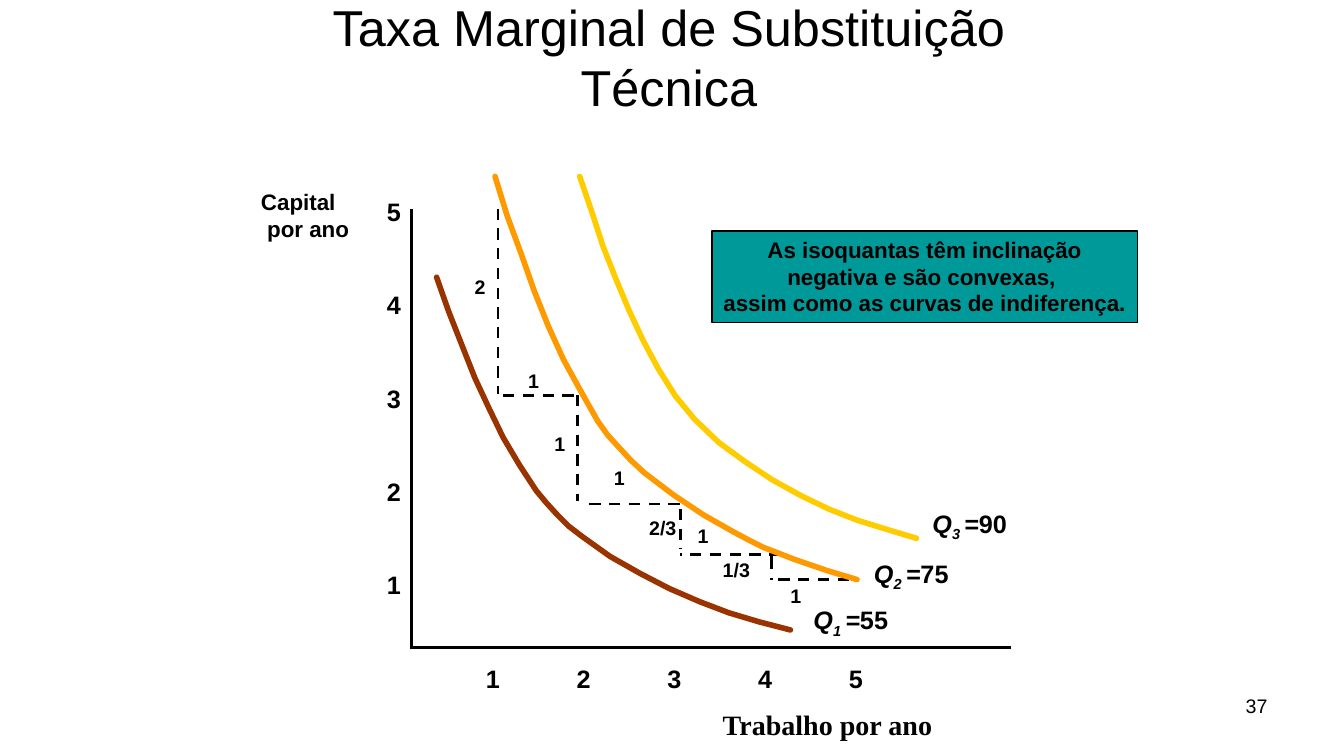
from lxml.etree import SubElement
from pptx import Presentation
from pptx.dml.color import RGBColor
from pptx.enum.dml import MSO_LINE
from pptx.enum.shapes import MSO_CONNECTOR, MSO_SHAPE
from pptx.enum.text import MSO_ANCHOR, MSO_AUTO_SIZE, PP_ALIGN
from pptx.oxml.ns import qn
from pptx.util import Inches, Pt

BLACK = RGBColor(0x00, 0x00, 0x00)
TEAL = RGBColor(0x00, 0x99, 0x99)
BROWN = RGBColor(0x99, 0x33, 0x00)
YELLOW = RGBColor(0xFF, 0xCC, 0x00)
ORANGE = RGBColor(0xFF, 0x99, 0x00)

TITLE = "Taxa Marginal de Substituição Técnica"
PAGE_NUMBER = "37"
CAPITAL_LABEL = ["Capital", " por ano"]
LABOUR_LABEL = "Trabalho por ano"
NOTE = ["As isoquantas têm inclinação", "negativa e são convexas, ",
        "assim como as curvas de indiferença."]
TICKS = range(1, 6)
CAPITAL_TICK = {"left": 3.74, "first": 5.6, "step": -0.925}
LABOUR_TICK = {"top": 6.53, "first": 4.72, "step": 0.9}
AXES = [((4.08, 2.07), (4.08, 6.44)), ((4.1, 6.42), (10.03, 6.42))]

STEPS = [
    ((8.42, 5.75), (7.7, 5.75), 2), ((5.69, 3.92), (4.91, 3.92), 2),
    ((6.74, 5), (5.8, 5), 2), ((7.74, 5.5), (6.74, 5.5), 2),
    ((4.94, 2.07), (4.94, 3.91), 2), ((5.73, 3.92), (5.73, 4.97), 2),
    ((6.75, 5.05), (6.75, 5.45), 2), ((7.65, 5.52), (7.65, 5.75), 2.25),
]
STEP_LABELS = [
    ("1", 5.14, 3.61), ("1", 5.99, 4.57), ("1", 6.82, 5.15), ("1", 7.74, 5.74),
    ("2", 4.61, 2.68), ("1", 5.4, 4.24), ("2/3", 6.34, 5.07), ("1/3", 7.07, 5.49),
]
ISOQUANTS = [
    ("1", "55", (7.97, 5.95), BROWN, [
        (4.33, 2.75), (4.45, 3.09), (4.58, 3.42), (4.71, 3.75), (4.85, 4.05),
        (4.99, 4.34), (5.15, 4.61), (5.32, 4.87), (5.42, 4.99), (5.53, 5.11),
        (5.64, 5.22), (5.77, 5.32), (6.05, 5.52), (6.35, 5.69), (6.64, 5.84),
        (6.94, 5.97), (7.23, 6.08), (7.53, 6.17), (7.84, 6.25)]),
    ("3", "90", (9.15, 4.99), YELLOW, [
        (5.75, 1.75), (5.87, 2.1), (5.98, 2.44), (6.11, 2.77), (6.24, 3.08),
        (6.38, 3.38), (6.53, 3.66), (6.7, 3.93), (6.89, 4.16), (7.13, 4.39),
        (7.39, 4.58), (7.66, 4.76), (7.95, 4.92), (8.22, 5.05), (8.5, 5.16),
        (8.79, 5.25), (9.09, 5.34)]),
    ("2", "75", (8.57, 5.49), ORANGE, [
        (4.91, 1.75), (5.03, 2.14), (5.17, 2.52), (5.3, 2.89), (5.44, 3.24),
        (5.59, 3.57), (5.76, 3.88), (5.93, 4.18), (6.03, 4.32), (6.14, 4.44),
        (6.26, 4.57), (6.39, 4.69), (6.68, 4.91), (6.98, 5.11), (7.28, 5.28),
        (7.43, 5.36), (7.57, 5.43), (7.88, 5.55), (8.2, 5.66), (8.5, 5.75)]),
]


def write(holder, lines, size=18, font="Arial", bold=True, align=PP_ALIGN.LEFT,
          anchor=MSO_ANCHOR.TOP, wrap=False):
    frame = holder.text_frame
    frame.word_wrap = wrap
    frame.auto_size = MSO_AUTO_SIZE.NONE if wrap else MSO_AUTO_SIZE.SHAPE_TO_FIT_TEXT
    frame.vertical_anchor = anchor
    for index, line in enumerate(lines):
        paragraph = frame.add_paragraph() if index else frame.paragraphs[0]
        paragraph.alignment = align
        pieces = [(line, False, 0)] if isinstance(line, str) else line
        for text, italic, baseline in pieces:
            run = paragraph.add_run()
            run.text = text
            run.font.size = Pt(size)
            run.font.name = font
            run.font.bold = bold
            run.font.italic = italic
            run.font.color.rgb = BLACK
            if baseline:
                run.font._element.set("baseline", str(baseline * 1000))


def add_label(shapes, lines, left, top, width, height, **style):
    box = shapes.add_textbox(*map(Inches, (left, top, width, height)))
    write(box, lines, **style)


def add_segment(shapes, start, end, weight=2, dash=None):
    segment = shapes.add_connector(MSO_CONNECTOR.STRAIGHT, *map(Inches, start + end))
    segment.line.color.rgb = BLACK
    segment.line.width = Pt(weight)
    segment.line.dash_style = dash
    SubElement(segment._element.spPr, qn("a:effectLst"))


def add_curve(shapes, points, color):
    vertices = [(Inches(x), Inches(y)) for x, y in points]
    builder = shapes.build_freeform(*vertices[0])
    builder.add_line_segments(vertices[1:], close=False)
    curve = builder.convert_to_shape()
    curve.shadow.inherit = False
    curve.fill.background()
    curve.line.color.rgb = color
    curve.line.width = Pt(4)
    outline = curve._element.spPr.find(qn("a:ln"))
    outline.set("cap", "rnd")
    SubElement(outline, qn("a:round"))


def main():
    """Build the slide on the marginal rate of technical substitution."""
    deck = Presentation()
    deck.slide_width, deck.slide_height = Inches(13.33), Inches(7.5)
    shapes = deck.slides.add_slide(deck.slide_layouts[6]).shapes

    add_label(shapes, [PAGE_NUMBER], 9.56, 6.83, 3.11, 0.52, size=14, bold=False,
              align=PP_ALIGN.RIGHT, wrap=True)
    add_label(shapes, [TITLE], 2.27, 0, 8.73, 1.21, size=36, bold=False,
              align=PP_ALIGN.CENTER, anchor=MSO_ANCHOR.BOTTOM, wrap=True)

    for start, end in AXES:
        add_segment(shapes, start, end)
    add_label(shapes, [LABOUR_LABEL], 7.07, 6.97, 2.3, 0.43, size=20,
              font="Times New Roman")
    add_label(shapes, CAPITAL_LABEL, 2.49, 1.82, 1.09, 0.64, size=16)
    for tick in TICKS:
        row_top = CAPITAL_TICK["first"] + (tick - 1) * CAPITAL_TICK["step"]
        column_left = LABOUR_TICK["first"] + (tick - 1) * LABOUR_TICK["step"]
        add_label(shapes, [str(tick)], CAPITAL_TICK["left"], row_top, 0.34, 0.4)
        add_label(shapes, [str(tick)], column_left, LABOUR_TICK["top"], 0.34, 0.4)

    note = shapes.add_shape(MSO_SHAPE.RECTANGLE, *map(Inches, (7.06, 2.29, 4.22, 0.91)))
    note.shadow.inherit = False
    note.fill.solid()
    note.fill.fore_color.rgb = TEAL
    note.line.color.rgb = BLACK
    note.line.width = Pt(1)
    write(note, NOTE, size=16, align=PP_ALIGN.CENTER)

    staircase = shapes.add_group_shape().shapes
    for start, end, weight in STEPS:
        add_segment(staircase, start, end, weight, MSO_LINE.DASH)
    for text, left, top in STEP_LABELS:
        add_label(staircase, [text], left, top, 0.47 if "/" in text else 0.31, 0.33,
                  size=14)

    isoquant_map = shapes.add_group_shape().shapes
    for index, output, corner, color, points in ISOQUANTS:
        add_curve(isoquant_map, points, color)
        formula = [("Q", True, 0), (index + " ", True, -25), ("=", True, 0),
                   (output, False, 0)]
        add_label(isoquant_map, [formula], *corner, 0.96, 0.4)

    deck.save("out.pptx")


if __name__ == "__main__":
    main()
